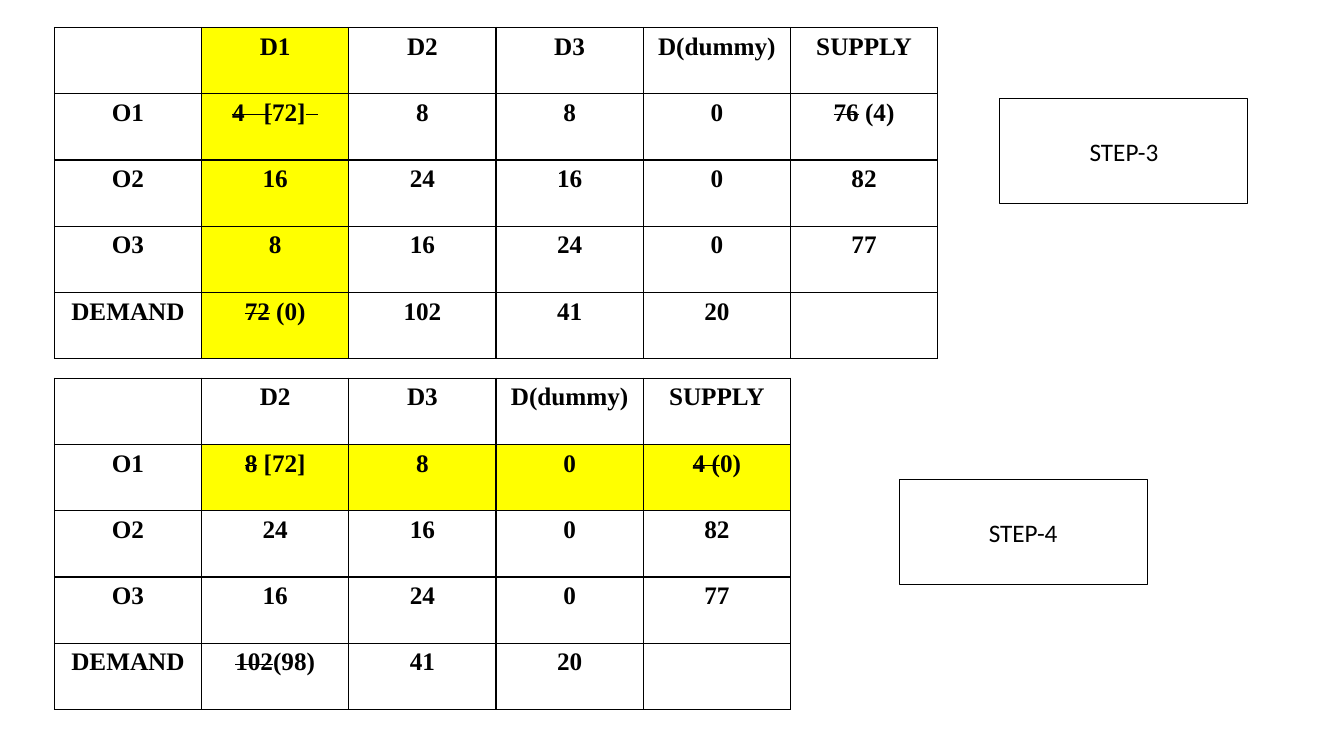
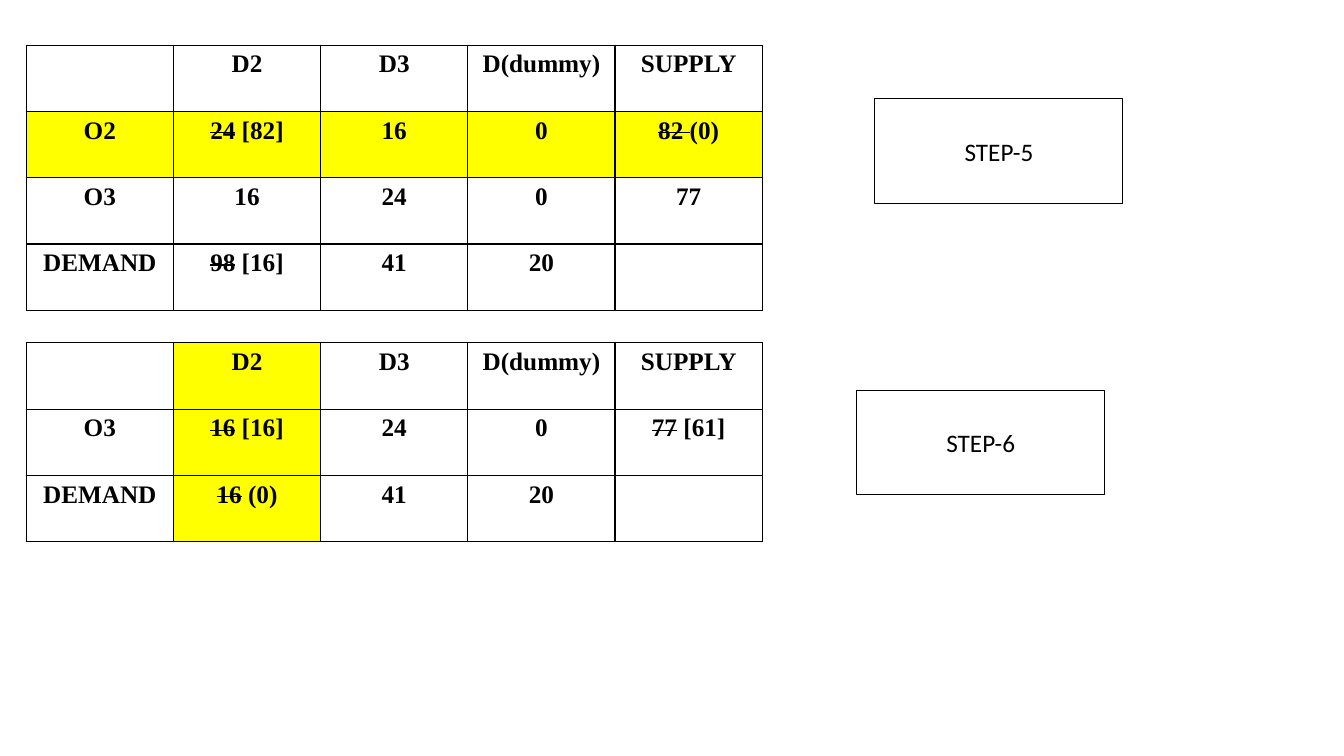
from lxml.etree import SubElement
from pptx import Presentation
from pptx.dml.color import RGBColor
from pptx.enum.shapes import MSO_SHAPE
from pptx.enum.text import MSO_ANCHOR, PP_ALIGN
from pptx.oxml.ns import qn
from pptx.util import Cm, Pt

BLACK, YELLOW = "000000", "FFFF00"
COL, ROW = 3.71, 1.67
BOX = (6.25, 2.64)
MARK = "~"
HEAD = ["", "D2", "D3", "D(dummy)", "SUPPLY"]

SLIDES = [
    [
        {
            "at": (1.37, 0.69),
            "rows": [
                ["", "D1", "D2", "D3", "D(dummy)", "SUPPLY"],
                ["O1", "~4   [~72]~  ~", "8", "8", "0", "~76~ (4)"],
                ["O2", "16", "24", "16", "0", "82"],
                ["O3", "8", "16", "24", "0", "77"],
                ["DEMAND", "~72~ (0)", "102", "41", "20", ""],
            ],
            "lit": (range(5), [1]),
            "step": ("STEP-3", 25.2, 2.49),
        },
        {
            "at": (1.37, 9.53),
            "rows": [
                HEAD,
                ["O1", "~8~ [72]", "8", "0", "~4 (~0)"],
                ["O2", "24", "16", "0", "82"],
                ["O3", "16", "24", "0", "77"],
                ["DEMAND", "~102~(98)", "41", "20", ""],
            ],
            "lit": ([1], range(1, 5)),
            "step": ("STEP-4", 22.66, 12.09),
        },
    ],
    [
        {
            "at": (0.66, 1.14),
            "rows": [
                HEAD,
                ["O2", "~24~ [82]", "16", "0", "~82 ~(0)"],
                ["O3", "16", "24", "0", "77"],
                ["DEMAND", "~98~ [16]", "41", "20", ""],
            ],
            "lit": ([1], range(5)),
            "step": ("STEP-5", 22.05, 2.49),
        },
        {
            "at": (0.66, 8.64),
            "rows": [
                HEAD,
                ["O3", "~16~ [16]", "24", "0", "~77~ [61]"],
                ["DEMAND", "~16~ (0)", "41", "20", ""],
            ],
            "lit": (range(3), [1]),
            "step": ("STEP-6", 21.59, 9.83),
        },
    ],
]


def paint(code):
    return RGBColor.from_string(code)


def write(frame, text, face, bold):
    para = frame.paragraphs[0]
    para.alignment = PP_ALIGN.CENTER
    for i, part in enumerate(text.split(MARK)):
        if not part:
            continue
        run = para.add_run()
        run.text = part
        font = run.font
        font.name, font.size, font.bold = face, Pt(18), bold
        font.color.rgb = paint(BLACK)
        if i % 2:
            run._r.get_or_add_rPr().set("strike", "sngStrike")


def border(cell):
    props = cell._tc.get_or_add_tcPr()
    for side in ("a:lnL", "a:lnR", "a:lnT", "a:lnB"):
        line = SubElement(props, qn(side), w=str(Pt(1)))
        fill = SubElement(line, qn("a:solidFill"))
        SubElement(fill, qn("a:srgbClr"), val=BLACK)


def fill_cell(cell, text, lit):
    cell.margin_left = cell.margin_right = Cm(0.28)
    cell.margin_top = cell.margin_bottom = Cm(0.13)
    border(cell)
    if lit:
        cell.fill.solid()
        cell.fill.fore_color.rgb = paint(YELLOW)
    else:
        cell.fill.background()
    write(cell.text_frame, text, "Times New Roman", True)


def add_grid(slide, at, rows, lit):
    high, wide = len(rows), len(rows[0])
    table = slide.shapes.add_table(
        high, wide, Cm(at[0]), Cm(at[1]), Cm(COL * wide), Cm(ROW * high)
    ).table
    table.first_row = table.horz_banding = False
    for col in table.columns:
        col.width = Cm(COL)
    for r, row in enumerate(rows):
        table.rows[r].height = Cm(ROW)
        for c, text in enumerate(row):
            fill_cell(table.cell(r, c), text, r in lit[0] and c in lit[1])


def add_step(slide, text, left, top):
    box = slide.shapes.add_shape(
        MSO_SHAPE.RECTANGLE, Cm(left), Cm(top), Cm(BOX[0]), Cm(BOX[1])
    )
    box.shadow.inherit = False
    box.fill.background()
    box.line.color.rgb = paint(BLACK)
    box.line.width = Pt(0.75)
    box.text_frame.vertical_anchor = MSO_ANCHOR.MIDDLE
    write(box.text_frame, text, "Calibri", False)


def main():
    deck = Presentation()
    deck.slide_width, deck.slide_height = Cm(33.87), Cm(19.05)
    for parts in SLIDES:
        slide = deck.slides.add_slide(deck.slide_layouts[6])
        for part in parts:
            add_grid(slide, part["at"], part["rows"], part["lit"])
        for part in parts:
            add_step(slide, *part["step"])
    deck.save("out.pptx")


if __name__ == "__main__":
    main()
